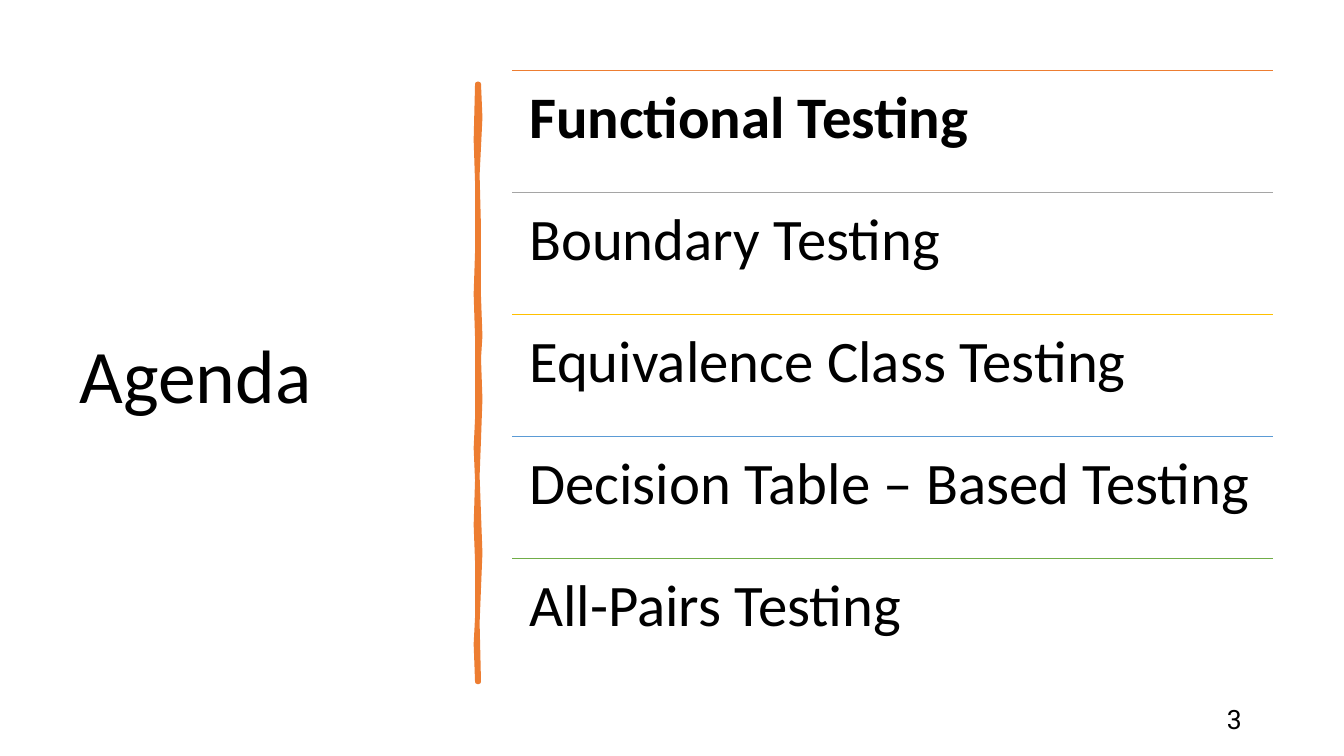
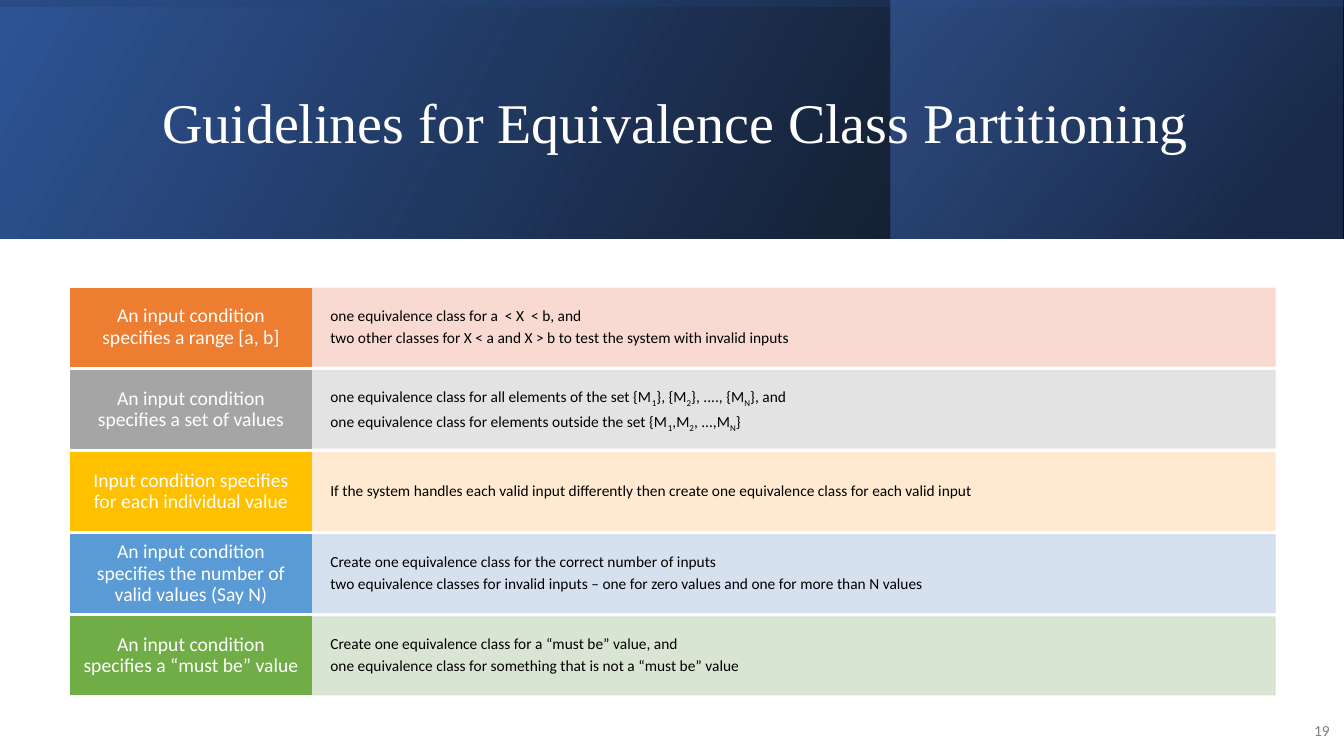
"""Build the agenda and equivalence class guideline slides."""
from dataclasses import dataclass

from lxml.etree import SubElement
from pptx import Presentation
from pptx.dml.color import RGBColor
from pptx.enum.shapes import MSO_CONNECTOR, MSO_SHAPE
from pptx.enum.text import MSO_ANCHOR, MSO_AUTO_SIZE, PP_ALIGN
from pptx.oxml.ns import qn
from pptx.util import Pt


@dataclass(frozen=True)
class Theme:
    black: str = "000000"
    white: str = "FFFFFF"
    gray: str = "808080"
    navy: str = "203864"
    blue: str = "2F5597"
    light_blue: str = "4472C4"
    accents: tuple = ("ED7D31", "A5A5A5", "FFC000", "5B9BD5", "70AD47")
    tints: tuple = ("F8D7CE", "E1E1E1", "FFE8CC", "D2DEEF", "D5E3CF")
    body_font: str = "Calibri"
    serif_font: str = "Times New Roman"
    number_font: str = "Roboto"
    agenda_title_size: float = 54
    banner_title_size: float = 40
    agenda_size: float = 42
    number_size: float = 19
    label_size: float = 14
    detail_size: float = 11
    line_spacing: float = 0.9
    paragraph_gap: float = 0.35


THEME = Theme()
DEFAULT_INSETS = (7.2, 3.6)
AGENDA = ["Functional Testing", "Boundary Testing", "Equivalence Class Testing",
          "Decision Table – Based Testing", "All-Pairs Testing"]
GUIDELINES = [
    ("An input condition specifies a range [a, b]",
     ["one equivalence class for a  < X  < b, and",
      "two other classes for X < a and X > b to test the system with invalid inputs"]),
    ("An input condition specifies a set of values",
     ["one equivalence class for all elements of the set {M_1}, {M_2}, ...., {M_N}, and",
      "one equivalence class for elements outside the set {M_1,M_2, ...,M_N}"]),
    ("Input condition specifies for each individual value",
     ["If the system handles each valid input differently then create "
      "one equivalence class for each valid input"]),
    ("An input condition specifies the number of valid values (Say N)",
     ["Create one equivalence class for the correct number of inputs",
      "two equivalence classes for invalid inputs – "
      "one for zero values and one for more than N values"]),
    ("An input condition specifies a “must be” value",
     ["Create one equivalence class for a “must be” value, and",
      "one equivalence class for something that is not a “must be” value"]),
]
BRUSH_RIGHT = [(342, 60.5), (343, 84), (342, 105), (341.2, 125), (342, 163),
               (341.6, 187), (342, 212), (342.6, 240), (342, 256), (343, 285),
               (342, 314), (341, 340), (342, 367), (343, 395), (342, 420),
               (341.3, 445), (342, 487)]
BRUSH_LEFT = [(340.6, 487), (340, 460), (340.6, 441), (340.9, 420), (340.6, 401),
              (340, 375), (340.6, 343), (340, 320), (340.6, 299), (340.9, 270),
              (340.6, 241), (340, 210), (340.6, 180), (341, 150), (340.6, 130),
              (340.3, 100), (340.6, 60.5)]


def points(values):
    return [Pt(value) for value in values]


def rgb(color):
    return RGBColor.from_string(color)


def set_alpha(color_element, percent):
    SubElement(color_element, qn("a:alpha")).set("val", str(percent * 1000))


def add_runs(paragraph, text):
    first, *rest = text.split("_")
    paragraph.add_run().text = first
    for part in rest:
        subscript = paragraph.add_run()
        subscript.text = part[0]
        subscript.font._element.set("baseline", "-25000")
        paragraph.add_run().text = part[1:]


def write_text(shape, lines, size, color, font=THEME.body_font, bold=False,
               align=PP_ALIGN.LEFT, anchor=MSO_ANCHOR.MIDDLE, insets=DEFAULT_INSETS):
    frame = shape.text_frame
    frame.word_wrap = True
    frame.auto_size = MSO_AUTO_SIZE.NONE
    frame.vertical_anchor = anchor
    frame.margin_left = frame.margin_right = Pt(insets[0])
    frame.margin_top = frame.margin_bottom = Pt(insets[1])
    for index, line in enumerate(lines):
        paragraph = frame.add_paragraph() if index else frame.paragraphs[0]
        add_runs(paragraph, line)
        paragraph.alignment = align
        paragraph.line_spacing = THEME.line_spacing
        paragraph.space_after = Pt(round(size * THEME.paragraph_gap, 2))
        paragraph.font.name = font
        paragraph.font.size = Pt(size)
        paragraph.font.bold = bold
        paragraph.font.color.rgb = rgb(color)


def add_text(slide, box, text, size, color, **style):
    write_text(slide.shapes.add_textbox(*points(box)), [text], size, color, **style)


def place_title(slide, box, text, size, color, font):
    title = slide.shapes.title
    title.left, title.top, title.width, title.height = points(box)
    write_text(title, [text], size, color, font=font)
    slide.shapes._spTree.append(title._element)


def add_rectangle(slide, box):
    shape = slide.shapes.add_shape(MSO_SHAPE.RECTANGLE, *points(box))
    shape.shadow.inherit = False
    return shape


def add_gradient(slide, box, stops, angle, rotation=0):
    """Add a mirrored rectangle; each stop is position, color and opacity."""
    shape = add_rectangle(slide, box)
    shape.line.fill.background()
    shape.fill.gradient()
    shape.fill.gradient_angle = angle
    for stop, (position, color, opacity) in zip(shape.fill.gradient_stops, stops):
        stop.position = position
        stop.color.rgb = rgb(color)
        set_alpha(stop._gs[0], opacity)
    shape.rotation = rotation
    shape._element.spPr.find(qn("a:xfrm")).set("flipH", "1")


def add_cell(slide, box, lines, fill, size, color, opacity=100, **style):
    shape = add_rectangle(slide, box)
    shape.fill.solid()
    shape.fill.fore_color.rgb = rgb(fill)
    shape.line.color.rgb = rgb(fill)
    shape.line.width = Pt(1)
    if opacity < 100:
        for element in list(shape._element.spPr.iter(qn("a:srgbClr"))):
            set_alpha(element, opacity)
    write_text(shape, lines, size, color, **style)


def add_rule(slide, left, right, top, color):
    rule = slide.shapes.add_connector(MSO_CONNECTOR.STRAIGHT,
                                      *points((left, top, right, top)))
    rule.line.color.rgb = rgb(color)
    rule.line.width = Pt(1)
    SubElement(rule._element.spPr, qn("a:effectLst"))


def add_brush_stroke(slide):
    start, *outline = BRUSH_RIGHT + BRUSH_LEFT
    builder = slide.shapes.build_freeform(*start, scale=Pt(1))
    builder.add_line_segments(outline, close=True)
    stroke = builder.convert_to_shape()
    stroke.shadow.inherit = False
    stroke.fill.solid()
    stroke.fill.fore_color.rgb = rgb(THEME.accents[0])
    stroke.line.color.rgb = rgb(THEME.accents[0])
    stroke.line.width = Pt(3.25)


def add_title_slide(presentation):
    return presentation.slides.add_slide(presentation.slide_layouts[5])


def build_agenda(presentation):
    slide = add_title_slide(presentation)
    place_title(slide, (49.7, 50.4, 269.3, 440), "Agenda",
                THEME.agenda_title_size, THEME.black, THEME.body_font)
    add_brush_stroke(slide)
    add_text(slide, (678.2, 500.4, 216, 28.8), "3", THEME.number_size, THEME.black,
             font=THEME.number_font, align=PP_ALIGN.RIGHT)
    left, width, pitch = 365.8, 543.6, 87.1
    for index, (item, color) in enumerate(zip(AGENDA, THEME.accents)):
        top = 50.4 + index * pitch
        add_rule(slide, left, left + width, top, color)
        add_text(slide, (left, top, width, pitch), item, THEME.agenda_size, THEME.black,
                 bold=index == 0, anchor=MSO_ANCHOR.TOP, insets=(12.2, 12.2))


def build_guidelines(presentation):
    slide = add_title_slide(presentation)
    width, height = 960, 170.6
    add_gradient(slide, (0, 0, width, height),
                 [(0, THEME.black, 96), (1, THEME.blue, 100)], 30)
    add_gradient(slide, (636.5, 0, 322.6, height),
                 [(0.19, THEME.navy, 68), (1, THEME.light_blue, 48)], 40)
    add_gradient(slide, ((width - height) / 2, (height - width) / 2, height, width),
                 [(0.23, THEME.blue, 16), (0.99, THEME.black, 45)], 10, rotation=270)
    place_title(slide, (108.7, 27.4, 765.4, 123.8),
                "Guidelines for Equivalence Class Partitioning",
                THEME.banner_title_size, THEME.white, THEME.serif_font)
    add_text(slide, (921.6, 508.3, 35.3, 28.8), "19", THEME.detail_size, THEME.gray,
             align=PP_ALIGN.RIGHT)
    left, label_width, detail_width = 50.4, 172.1, 688.3
    row_height, pitch = 55.4, 58.7
    rows = zip(GUIDELINES, THEME.accents, THEME.tints)
    for index, ((label, details), accent, tint) in enumerate(rows):
        top = 206 + index * pitch
        add_cell(slide, (left + label_width, top, detail_width, row_height), details,
                 tint, THEME.detail_size, THEME.black, opacity=90, insets=(13.5, 14))
        add_cell(slide, (left, top, label_width, row_height), [label],
                 accent, THEME.label_size, THEME.white, align=PP_ALIGN.CENTER,
                 insets=(9, 5.6))


def main():
    presentation = Presentation()
    presentation.slide_width, presentation.slide_height = Pt(960), Pt(540)
    build_agenda(presentation)
    build_guidelines(presentation)
    presentation.save("out.pptx")


if __name__ == "__main__":
    main()
